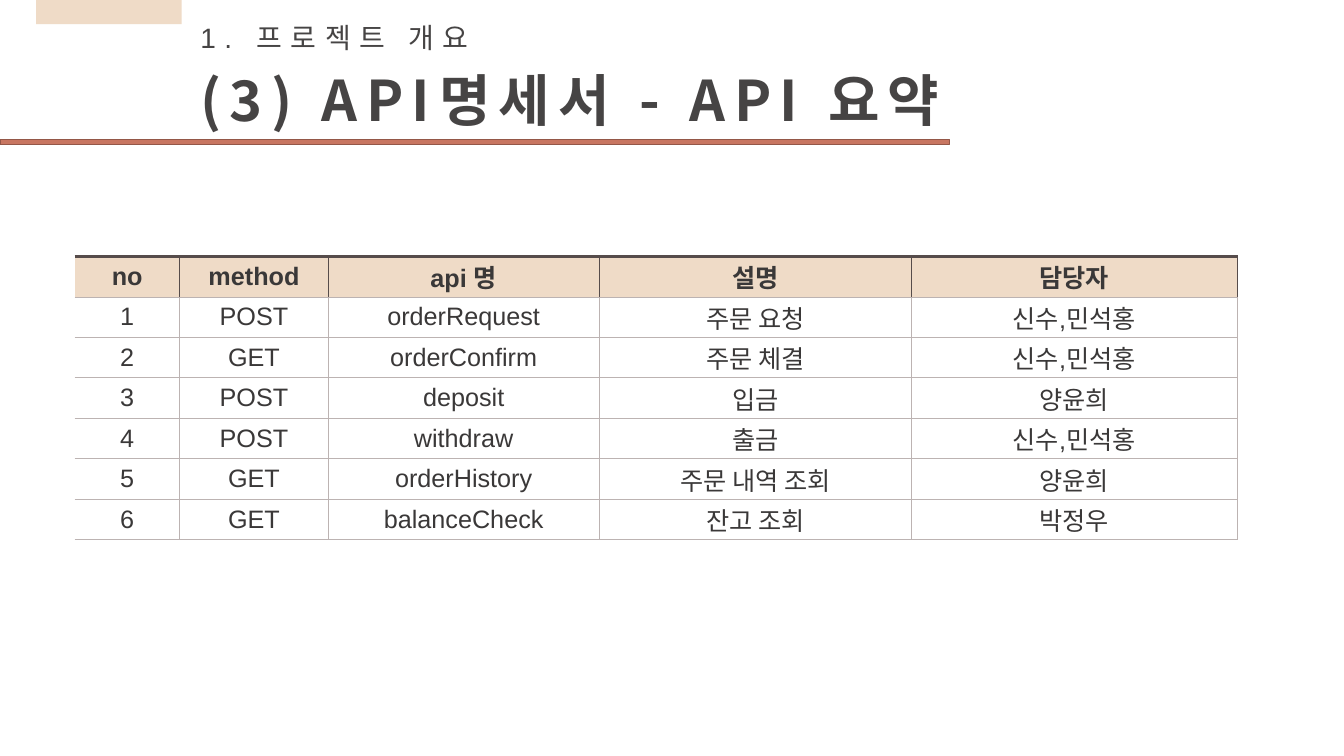
from lxml.etree import SubElement
from pptx import Presentation
from pptx.dml.color import RGBColor
from pptx.enum.shapes import MSO_SHAPE
from pptx.enum.text import MSO_ANCHOR, MSO_AUTO_SIZE, PP_ALIGN
from pptx.oxml.ns import qn
from pptx.util import Cm, Pt

KOREAN_FONT = "Noto Sans CJK KR"
SAND, INK, GRID, DARK_GRID = "EFDBC7", "3A3838", "BCB3B2", "564C4B"


def add_text(paragraph, text, size, color, font_name, bold=False, spacing=0):
    """Add a run with separate Latin and Korean fonts; spacing is in points."""
    run = paragraph.add_run()
    run.text = text
    run.font.size = Pt(size)
    run.font.bold = bold
    run.font.color.rgb = RGBColor.from_string(color)
    run.font.name = font_name
    properties = run._r.get_or_add_rPr()
    SubElement(properties, qn("a:ea")).set("typeface", KOREAN_FONT)
    if spacing:
        properties.set("spc", str(spacing * 100))


def set_border(cell, side, color, width):
    """Draw one cell border (L, R, T or B); no colour means no line."""
    line = SubElement(cell._tc.get_or_add_tcPr(), qn(f"a:ln{side}"))
    line.set("w", str(Pt(width)))
    if color:
        fill = SubElement(line, qn("a:solidFill"))
        SubElement(fill, qn("a:srgbClr")).set("val", color)
    else:
        SubElement(line, qn("a:noFill"))


presentation = Presentation()
presentation.slide_width = Cm(33.87)
presentation.slide_height = Cm(19.05)
slide = presentation.slides.add_slide(presentation.slide_layouts[5])

# Header bars
bars = [
    (0, 3.51, 23.93, 0.13, "C87661", "945748"),
    (0.91, 0, 3.67, 0.61, SAND, None),
]
for left, top, width, height, fill_color, line_color in bars:
    bar = slide.shapes.add_shape(
        MSO_SHAPE.RECTANGLE, Cm(left), Cm(top), Cm(width), Cm(height))
    bar.shadow.inherit = False
    bar.fill.solid()
    bar.fill.fore_color.rgb = RGBColor.from_string(fill_color)
    if line_color:
        bar.line.color.rgb = RGBColor.from_string(line_color)
        bar.line.width = Pt(1)
    else:
        bar.line.fill.background()

# Section name and title
section = slide.shapes.add_textbox(Cm(4.8), Cm(0.38), Cm(7.9), Cm(1.12))
title = slide.shapes.title
title.left, title.top, title.width, title.height = Cm(4.8), Cm(1.52), Cm(20.78), Cm(1.96)
headings = [
    (section, "1. 프로젝트 개요", 20, "Arial", False),
    (title, "(3) API명세서 - API 요약", 40, KOREAN_FONT, True),
]
for shape, text, size, font_name, bold in headings:
    frame = shape.text_frame
    frame.word_wrap = False
    frame.auto_size = MSO_AUTO_SIZE.NONE
    frame.vertical_anchor = MSO_ANCHOR.MIDDLE
    paragraph = frame.paragraphs[0]
    paragraph.alignment = PP_ALIGN.LEFT
    add_text(paragraph, text, size, "464444", font_name, bold, spacing=6)

# API table
api_rows = [
    ("no", "method", "api 명", "설명", "담당자"),
    ("1", "POST", "orderRequest", "주문 요청", "신수,민석홍"),
    ("2", "GET", "orderConfirm", "주문 체결", "신수,민석홍"),
    ("3", "POST", "deposit", "입금", "양윤희"),
    ("4", "POST", "withdraw", "출금", "신수,민석홍"),
    ("5", "GET", "orderHistory", "주문 내역 조회", "양윤희"),
    ("6", "GET", "balanceCheck", "잔고 조회", "박정우"),
]
column_widths = [2.65, 3.74, 6.83, 7.87, 8.2]
row_height = 1.02
table = slide.shapes.add_table(
    len(api_rows), len(column_widths), Cm(1.88), Cm(6.46),
    Cm(sum(column_widths)), Cm(row_height * len(api_rows))).table
table.first_row = False
table.horz_banding = False
for column, width in zip(table.columns, column_widths):
    column.width = Cm(width)

for row_index, values in enumerate(api_rows):
    is_header = row_index == 0
    table.rows[row_index].height = Cm(row_height)
    side_color = DARK_GRID if is_header else GRID
    for column_index, value in enumerate(values):
        cell = table.cell(row_index, column_index)
        cell.margin_top = cell.margin_bottom = Cm(0.04)
        cell.vertical_anchor = MSO_ANCHOR.MIDDLE
        set_border(cell, "L", side_color if column_index else None, 0.5)
        set_border(cell, "R", side_color, 0.5)
        set_border(cell, "T", side_color, 2.25 if is_header else 0.5)
        set_border(cell, "B", GRID, 0.5)
        cell.fill.solid()
        cell.fill.fore_color.rgb = RGBColor.from_string(SAND if is_header else "FFFFFF")
        paragraph = cell.text_frame.paragraphs[0]
        paragraph.alignment = PP_ALIGN.CENTER
        add_text(paragraph, value, 18, INK, "Arial", bold=is_header)

presentation.save("out.pptx")
